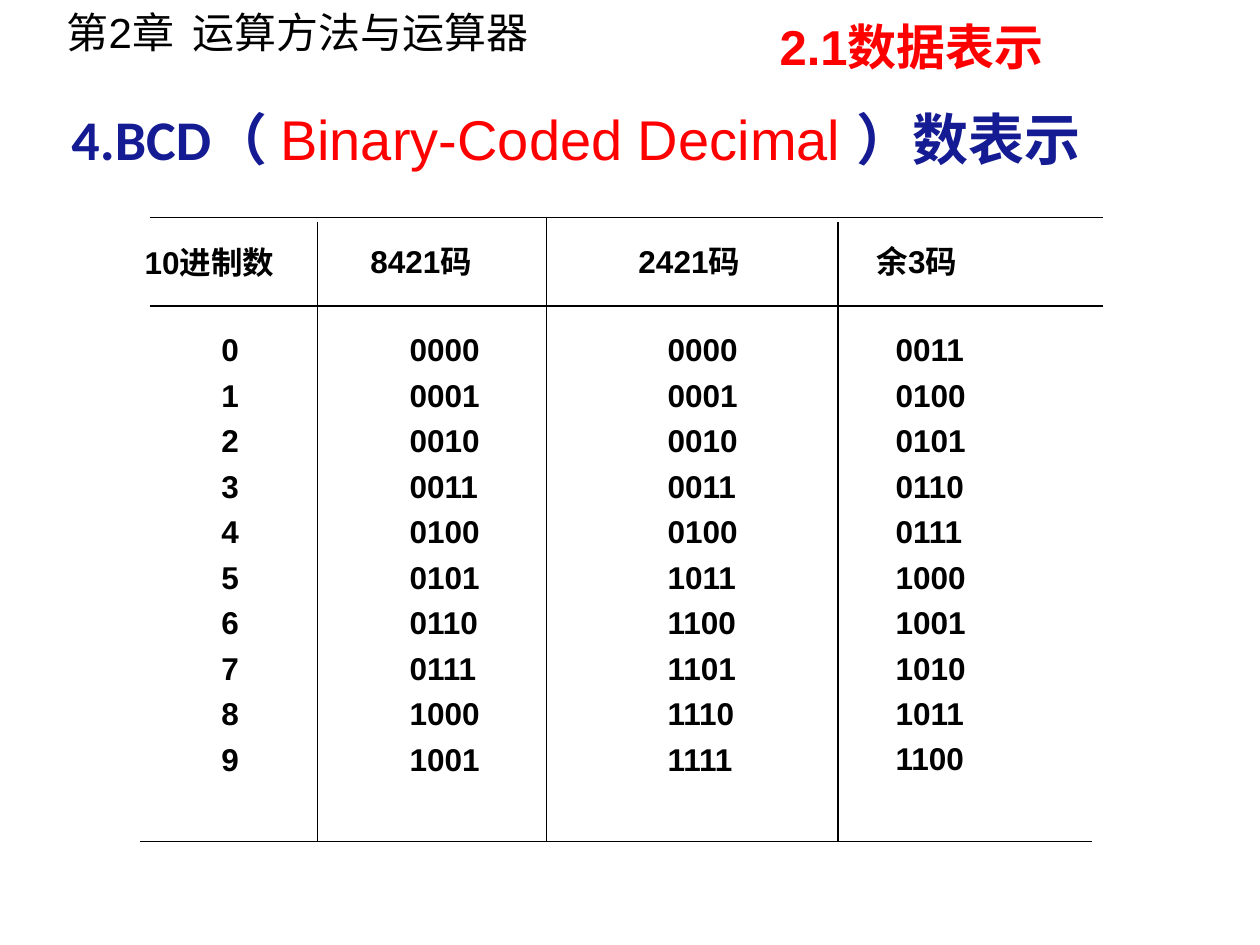
"""Build the BCD code comparison slide."""
from lxml import etree
from pptx import Presentation
from pptx.dml.color import RGBColor
from pptx.enum.shapes import MSO_CONNECTOR
from pptx.enum.text import MSO_AUTO_SIZE
from pptx.oxml.ns import qn
from pptx.util import Pt

BLACK = RGBColor(0x00, 0x00, 0x00)
RED = RGBColor(0xFF, 0x00, 0x00)
NAVY = RGBColor(0x15, 0x1B, 0x93)
STRAIGHT = MSO_CONNECTOR.STRAIGHT
FIT_SHAPE = MSO_AUTO_SIZE.SHAPE_TO_FIT_TEXT


def add_text(s, box, text, size, color=BLACK, bold=True, wrap=True):
    sp = s.shapes.add_textbox(*map(Pt, box))
    tf = sp.text_frame
    tf.word_wrap = wrap
    tf.auto_size = FIT_SHAPE
    tf.text = text
    for p in tf.paragraphs:
        for r in p.runs:
            style_run(r, size, color, bold)
    return tf


def style_run(r, size, color, bold, font="Arial"):
    r.font.name = font
    r.font.size = Pt(size)
    r.font.bold = bold
    r.font.color.rgb = color


prs = Presentation()
prs.slide_width, prs.slide_height = Pt(720), Pt(540)
s = prs.slides.add_slide(prs.slide_layouts[6])

add_text(s, (31, 0, 289.5, 36), "第2章  运算方法与运算器", 24, bold=False)
add_text(s, (438.5, 5.8, 191.5, 41), "2.1数据表示", 28, RED)

title = add_text(s, (33.8, 56.2, 635.8, 46), "", 32)
for text, color, bold, font in [
    ("4.BCD（ ", NAVY, True, "Calibri"),
    ("Binary-Coded Decimal ", RED, False, "Arial"),
    ("）数表示", NAVY, True, "Calibri"),
]:
    r = title.paragraphs[0].add_run()
    r.text = text
    style_run(r, 32, color, bold, font)

rules = [(x, y, x + 544.3, y) for x, y in [(85.7, 124.4), (85.7, 174.8), (79.9, 481)]]
rules += [(x, y, x, 481) for x, y in [(181.6, 126.7), (312.3, 124), (478.8, 126.7)]]
for ends in rules:
    line = s.shapes.add_connector(STRAIGHT, *map(Pt, ends))
    line.line.color.rgb = BLACK
    line.line.width = Pt(0.75)
    etree.SubElement(line._element.spPr, qn("a:effectLst"))

digits = range(10)
columns = [
    ("10进制数", (75.6, 135.4, 98.6, 29), 119.5, 24.5, [str(d) for d in digits]),
    ("8421码", (204.5, 134.6, 113.8, 36), 227, 54.7, [f"{d:04b}" for d in digits]),
    ("2421码", (357.8, 134.6, 124.6, 36), 374.4, 54.7,
     [f"{d if d < 5 else d + 6:04b}" for d in digits]),
    ("余3码", (493.9, 134.6, 130.3, 36), 504.7, 73.4, [f"{d + 3:04b}" for d in digits]),
]
for heading, box, left, width, codes in columns:
    add_text(s, box, heading, 18)
    tf = add_text(s, (left, 180.7, width, 267), "\n".join(codes), 18, wrap=width > 60)
    for p in tf.paragraphs:
        p.line_spacing = Pt(26)

prs.save("out.pptx")
